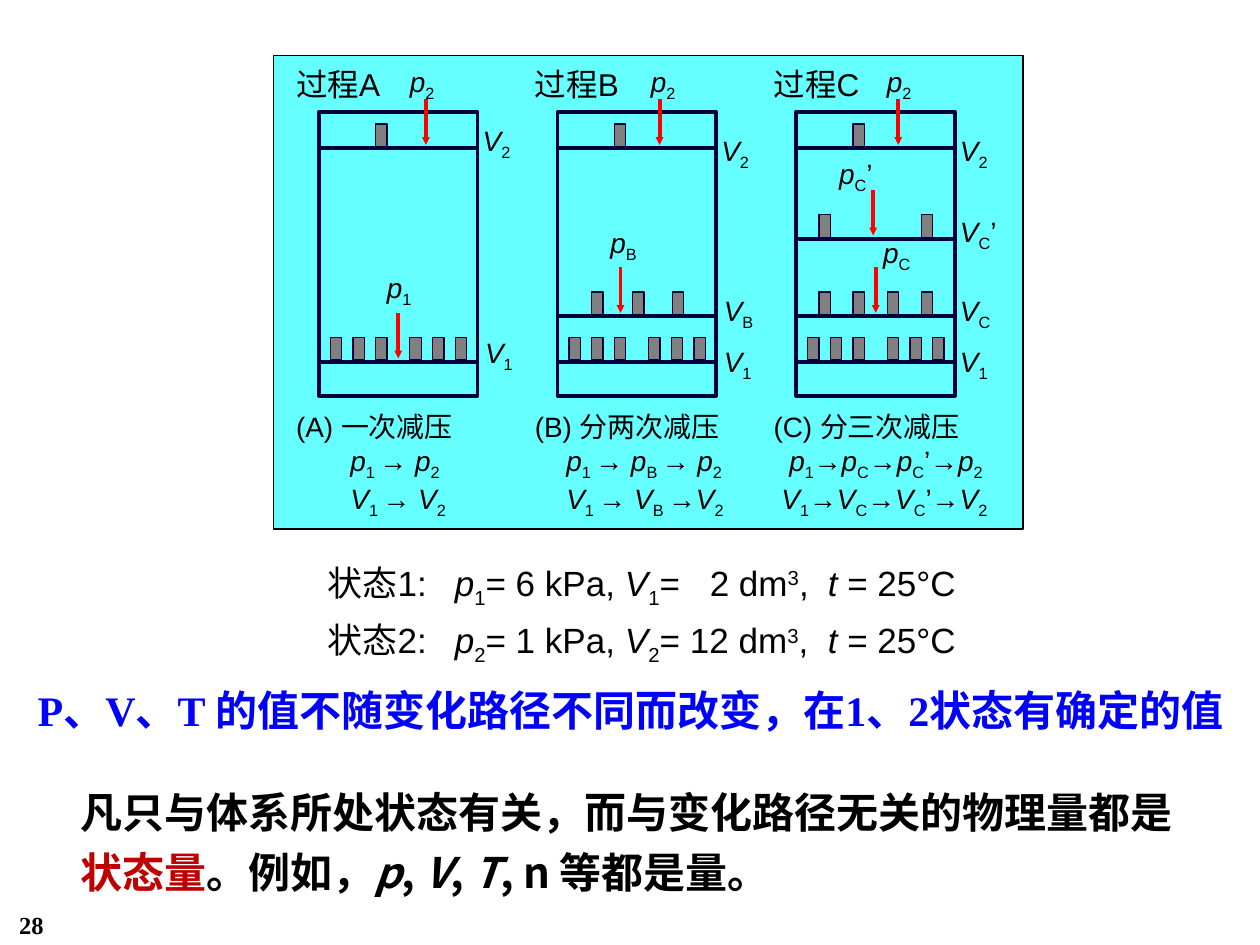
from lxml import etree
from pptx import Presentation
from pptx.dml.color import RGBColor
from pptx.enum.shapes import MSO_CONNECTOR, MSO_SHAPE
from pptx.enum.text import PP_ALIGN
from pptx.oxml.ns import qn
from pptx.util import Pt

LINE = MSO_CONNECTOR.STRAIGHT
RECT = MSO_SHAPE.RECTANGLE
LEFT, MID = PP_ALIGN.LEFT, PP_ALIGN.CENTER
HEX = {"ink": "000000", "cyan": "66FFFF", "navy": "00003C", "gray": "808080",
       "red": "FF0000", "blue": "0000FF", "dark": "C00000"}
SANS, SERIF, HAN = "Arial", "Times New Roman", "Noto Sans CJK SC"
SHIFT = {"_": "-25000", "^": "30000"}


def hue(name):
    return RGBColor.from_string(HEX[name])


class Board:
    def __init__(self, slide, font=SANS, size=16):
        self.shapes = slide.shapes
        self.font, self.size = font, size

    def rect(self, x, y, w, h, fill=None, line="navy", weight=0.75):
        box = self.shapes.add_shape(RECT, Pt(x), Pt(y), Pt(w), Pt(h))
        box.shadow.inherit = False
        if fill:
            box.fill.solid()
            box.fill.fore_color.rgb = hue(fill)
        else:
            box.fill.background()
        box.line.color.rgb = hue(line)
        box.line.width = Pt(weight)

    def line(self, x, y, to_x, to_y, color="navy", head=False):
        rule = self.shapes.add_connector(LINE, Pt(x), Pt(y), Pt(to_x), Pt(to_y))
        rule.line.color.rgb = hue(color)
        rule.line.width = Pt(2.25)
        props = rule._element.spPr
        if head:
            etree.SubElement(props.find(qn("a:ln")), qn("a:tailEnd"),
                             type="triangle", w="sm", len="sm")
        etree.SubElement(props, qn("a:effectLst"))

    def text(self, x, y, w, h, lines, size=None, font=None, color="ink", bold=False,
             pad=(0, 0), align=LEFT, space=1.0, tabs=(), dents=()):
        frame = self.shapes.add_textbox(Pt(x), Pt(y), Pt(w), Pt(h)).text_frame
        frame.word_wrap = True
        frame.margin_left = frame.margin_right = Pt(pad[0])
        frame.margin_top = frame.margin_bottom = Pt(pad[1])
        for i, line in enumerate(lines):
            para = frame.add_paragraph() if i else frame.paragraphs[0]
            props = para._p.get_or_add_pPr()
            para.alignment = align
            para.line_spacing = space
            if dents:
                props.set("marL", str(Pt(dents[i])))
            if tabs:
                stops = etree.SubElement(props, qn("a:tabLst"))
                for stop in tabs:
                    etree.SubElement(stops, qn("a:tab"), pos=str(Pt(stop)), algn="l")
            style = para.font
            style.name = font or self.font
            style.size = Pt(size or self.size)
            style.bold = bold
            style.color.rgb = hue(color)
            etree.SubElement(style._element, qn("a:ea"), typeface=HAN)
            for part in line.split("|"):
                self.run(para, part)

    def run(self, para, part):
        mark = part[0] if part[0] in "/_^!" else ""
        run = para.add_run()
        run.text = part[len(mark):]
        if mark == "/":
            run.font.italic = True
        elif mark == "!":
            run.font.color.rgb = hue("dark")
        elif mark:
            run._r.get_or_add_rPr().set("baseline", SHIFT[mark])

    def label(self, x, y, text):
        self.text(x, y, 28, 15, [text])

    def piston(self, x, level, slots):
        self.line(x, level, x + WIDE, level)
        for slot in slots:
            self.rect(x + 6.5 + 13 * slot, level - 14, 6.5, 13, "gray")

    def force(self, x, level):
        self.line(x, level - 28, x, level - 2, "red", True)


WIDE, STEP = 90.7, 136.4
LOW, MIDDLE, UPPER, HIGH = 206.8, 180.8, 136.6, 84.8
FULL = (0, 1, 2, 3.5, 4.5, 5.5)
TANKS = [
    ("A", [(LOW, FULL, 45.4), (HIGH, (2,), 61.2)],
     [(38.9, 154.8, "/p|_1"), (52, 36.7, "/p|_2"),
      (95, 191.5, "/V|_1"), (93.6, 70.6, "/V|_2")],
     ["(A) 一次减压", "/p|_1 |→ |/p|_2", "/V|_1 |→ |/V|_2"], (0, 31, 31)),
    ("B", [(LOW, FULL, None), (MIDDLE, (1, 2.8, 4.55), 36), (HIGH, (2,), 58.3)],
     [(30.2, 128.9, "/p|_B"), (53.3, 36.7, "/p|_2"), (95, 196.6, "/V|_1"),
      (93.6, 76.3, "/V|_2"), (95, 167.8, "/V|_B")],
     ["(B) 分两次减压", "/p|_1 |→ |/p|_B |→ |/p|_2",
      "/V|_1 |→ |/V|_B |→|/V|_2"], (0, 18, 18)),
    ("C", [(LOW, FULL, None), (MIDDLE, (0.5, 2, 3.5, 5), 45.4),
           (UPPER, (0.5, 5), 44), (HIGH, (2,), 58.3)],
     [(51.8, 36.7, "/p|_2"), (49.7, 134.6, "/p|_C"), (24.5, 89.3, "/p|_C|’"),
      (93.6, 196.6, "/V|_1"), (93.6, 76.3, "/V|_2"), (93.6, 167.8, "/V|_C"),
      (93.6, 122.4, "/V|_C|’")],
     ["(C) 分三次减压", "/p|_1|→|/p|_C|→|/p|_C|’→|/p|_2",
      "/V|_1|→|/V|_C|→|/V|_C|’→|/V|_2"], (0, 9, 4.5)),
]
STATES = ["状态1:\t|/p|_1|= 6 kPa, |/V|_1|=\t2 dm|^3|,\t|/t| = 25°C",
          "状态2:\t|/p|_2|= 1 kPa, |/V|_2|= 12 dm|^3|,\t|/t| = 25°C"]


def main():
    deck = Presentation()
    deck.slide_width, deck.slide_height = Pt(720), Pt(540)
    board = Board(deck.slides.add_slide(deck.slide_layouts[6]))
    inset = (7.2, 3.6)

    board.rect(156.2, 31.7, 428.4, 270.7, "cyan", "ink")
    for i, (name, stages, labels, notes, dents) in enumerate(TANKS):
        x = 182.2 + STEP * i
        board.rect(x, 64.1, WIDE, 162, weight=2.25)
        for level, slots, push in stages:
            board.piston(x, level, slots)
            if push:
                board.force(x + push, level)
        for dx, y, text in labels:
            board.label(x + dx, y, text)
        board.text(x - 13, 37.4, 65, 23, ["过程" + name], size=18)
        board.text(x - 13, 234, 142, 62.6, notes, dents=dents)

    board.text(180, 311.8, 392.4, 64, STATES, size=20, pad=inset, space=1.2,
               tabs=(72.8, 218.5, 286))
    board.text(14.4, 387.4, 702, 36,
               ["P、V、T 的值不随变化路径不同而改变，在1、2状态有确定的值"],
               size=24, font=SERIF, color="blue", bold=True, pad=inset)
    board.text(38.9, 439.9, 644.4, 72.7,
               ["凡只与体系所处状态有关，而与变化路径无关的物理量都是|!状态量|。例如，"
                "|/p|, |/V|, |/T|, n 等都是量。"],
               size=24, font=HAN, bold=True, pad=inset, space=1.2)
    board.text(0, 516.2, 36, 18, ["28"], size=14, font=SERIF, bold=True,
               pad=inset, align=MID)
    deck.save("out.pptx")


if __name__ == "__main__":
    main()
